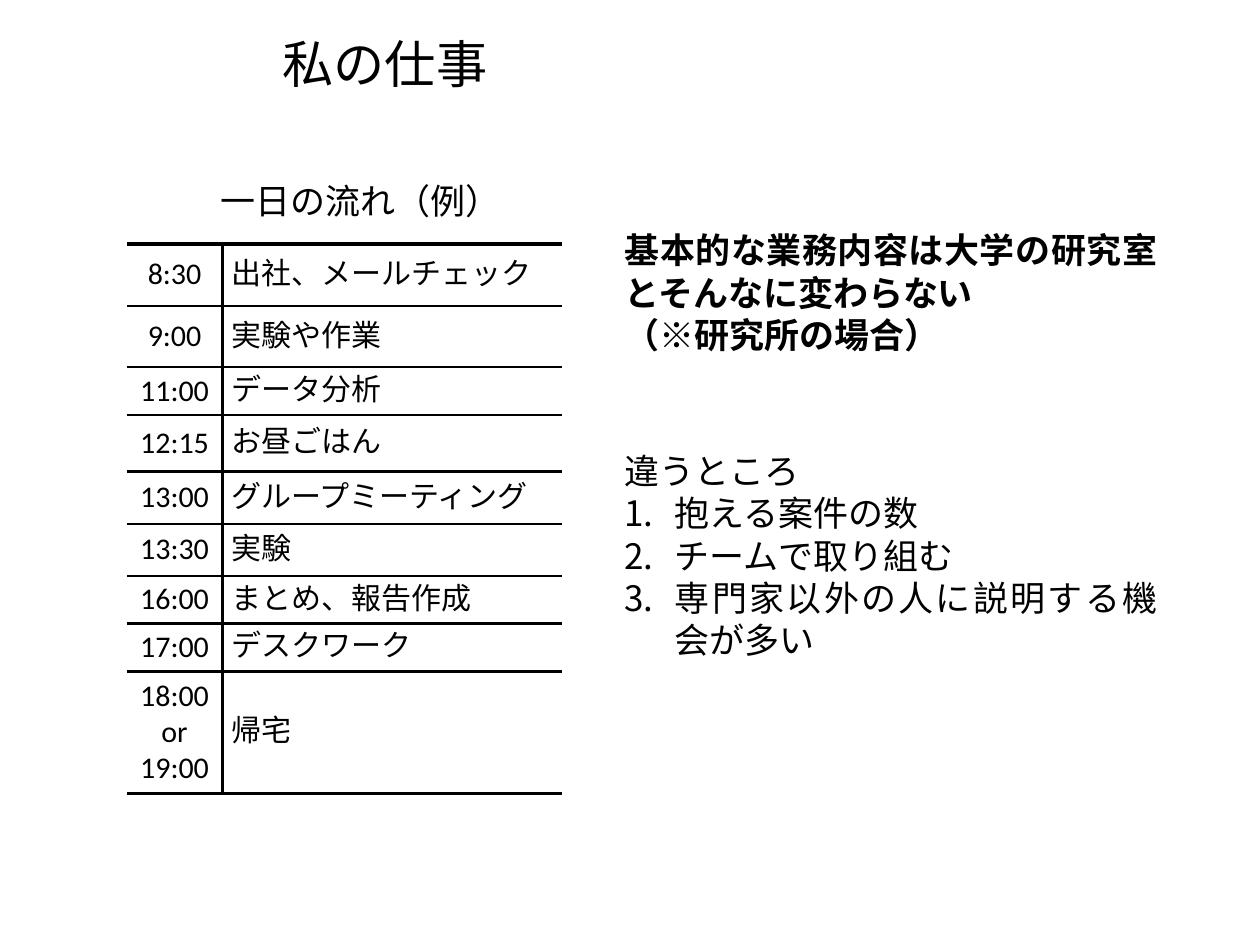
import pptx
import pptx.dml.color
import pptx.enum.text
import pptx.oxml.ns
import pptx.util
from lxml import etree

WIDTH, HEIGHT = pptx.util.Inches(14), pptx.util.Inches(10.5)
JAPANESE, LATIN = "Noto Sans CJK JP", "Calibri"
INK = "000000"
NO_STYLE = "{2D5ABB26-0587-4C30-8999-92F81FD0307C}"
LEFT = pptx.enum.text.PP_ALIGN.LEFT
CENTER = pptx.enum.text.PP_ALIGN.CENTER
JUSTIFY = pptx.enum.text.PP_ALIGN.JUSTIFY
OUTER, INNER, DIVIDER = 3, 2.25, 3

SCHEDULE = [
    (["8:30"], "出社、メールチェック", 6.57),
    (["9:00"], "実験や作業", 6.48),
    (["11:00"], "データ分析", 5.05),
    (["12:15"], "お昼ごはん", 6),
    (["13:00"], "グループミーティング", 5.52),
    (["13:30"], "実験", 5.52),
    (["16:00"], "まとめ、報告作成", 5.05),
    (["17:00"], "デスクワーク", 5.05),
    (["18:00", "or", "19:00"], "帰宅", 12.95),
]


def across(percent):
    return round(WIDTH * percent / 100)


def down(percent):
    return round(HEIGHT * percent / 100)


def color(value):
    return pptx.dml.color.RGBColor.from_string(value)


def child(parent, tag, **attributes):
    return etree.SubElement(parent, pptx.oxml.ns.qn(tag), attributes)


def write(frame, lines, size, align, latin=JAPANESE, bold=False):
    for index, line in enumerate(lines):
        paragraph = frame.paragraphs[0] if index == 0 else frame.add_paragraph()
        paragraph.alignment = align
        paragraph.line_spacing = pptx.util.Pt(round(size * 1.21, 1))
        run = paragraph.add_run()
        run.text = line
        formats = {"size": pptx.util.Pt(size), "bold": bold, "name": latin}
        for name, value in formats.items():
            setattr(run.font, name, value)
        run.font.color.rgb = color(INK)
        child(run.font._element, "a:ea", typeface=JAPANESE)


def add_text(slide, place, lines, size=28, align=JUSTIFY, bold=False, wrap=True):
    x, y, width, height = place
    box = slide.shapes.add_textbox(across(x), down(y), across(width), down(height))
    box.text_frame.word_wrap = wrap
    write(box.text_frame, lines, size, align, bold=bold)
    return box.text_frame


def number(paragraph):
    properties = paragraph._p.get_or_add_pPr()
    indent = pptx.util.Inches(0.56)
    for name, value in {"marL": indent, "indent": -indent}.items():
        properties.set(name, str(value))
    child(properties, "a:buFont", typeface="+mj-lt")
    child(properties, "a:buAutoNum", type="arabicPeriod")


def add_borders(cell, widths):
    properties = cell._tc.get_or_add_tcPr()
    for side in "LRTB":
        width = widths.get(side, 0)
        line = child(properties, f"a:ln{side}", w=str(pptx.util.Pt(width)))
        if width:
            child(child(line, "a:solidFill"), "a:srgbClr", val=INK)
        else:
            child(line, "a:noFill")


def fill_cell(cell, lines, align, widths):
    cell.vertical_anchor = pptx.enum.text.MSO_ANCHOR.MIDDLE
    write(cell.text_frame, lines, 24, align, latin=LATIN)
    add_borders(cell, widths)
    cell.fill.background()


def add_schedule(slide):
    columns = [7.57, 26.93]
    total = sum(height for _, _, height in SCHEDULE)
    frame = slide.shapes.add_table(
        len(SCHEDULE), 2, across(10.07), down(25.81), across(sum(columns)), down(total)
    )
    table = frame.table
    table._tbl.tblPr.find(pptx.oxml.ns.qn("a:tableStyleId")).text = NO_STYLE
    for name in ("first_row", "horz_banding"):
        setattr(table, name, False)
    for column, width in zip(table.columns, columns):
        column.width = across(width)
    last = len(SCHEDULE) - 1
    for row, (times, task, height) in enumerate(SCHEDULE):
        table.rows[row].height = down(height)
        rules = {"T": OUTER if row == 0 else INNER, "B": OUTER if row == last else INNER}
        fill_cell(table.cell(row, 0), times, CENTER, {**rules, "R": DIVIDER})
        fill_cell(table.cell(row, 1), [task], LEFT, {**rules, "L": DIVIDER})


def main():
    presentation = pptx.Presentation()
    presentation.slide_width, presentation.slide_height = WIDTH, HEIGHT
    slide = presentation.slides.add_slide(presentation.slide_layouts[6])

    add_text(slide, (21.71, 2.86, 17.79, 7.52), ["私の仕事"], 41, LEFT, wrap=False)
    add_schedule(slide)
    add_text(
        slide,
        (48.86, 23.71, 43.71, 14.38),
        ["基本的な業務内容は大学の研究室とそんなに変わらない", "（※研究所の場合）"],
        bold=True,
    )
    differences = add_text(
        slide,
        (48.86, 47.05, 43.71, 23.43),
        ["違うところ", "抱える案件の数", "チームで取り組む", "専門家以外の人に説明する機会が多い"],
    )
    for paragraph in differences.paragraphs[1:]:
        number(paragraph)
    add_text(slide, (16.79, 18.48, 24.21, 5.43), ["一日の流れ（例）"])

    presentation.save("out.pptx")


if __name__ == "__main__":
    main()
